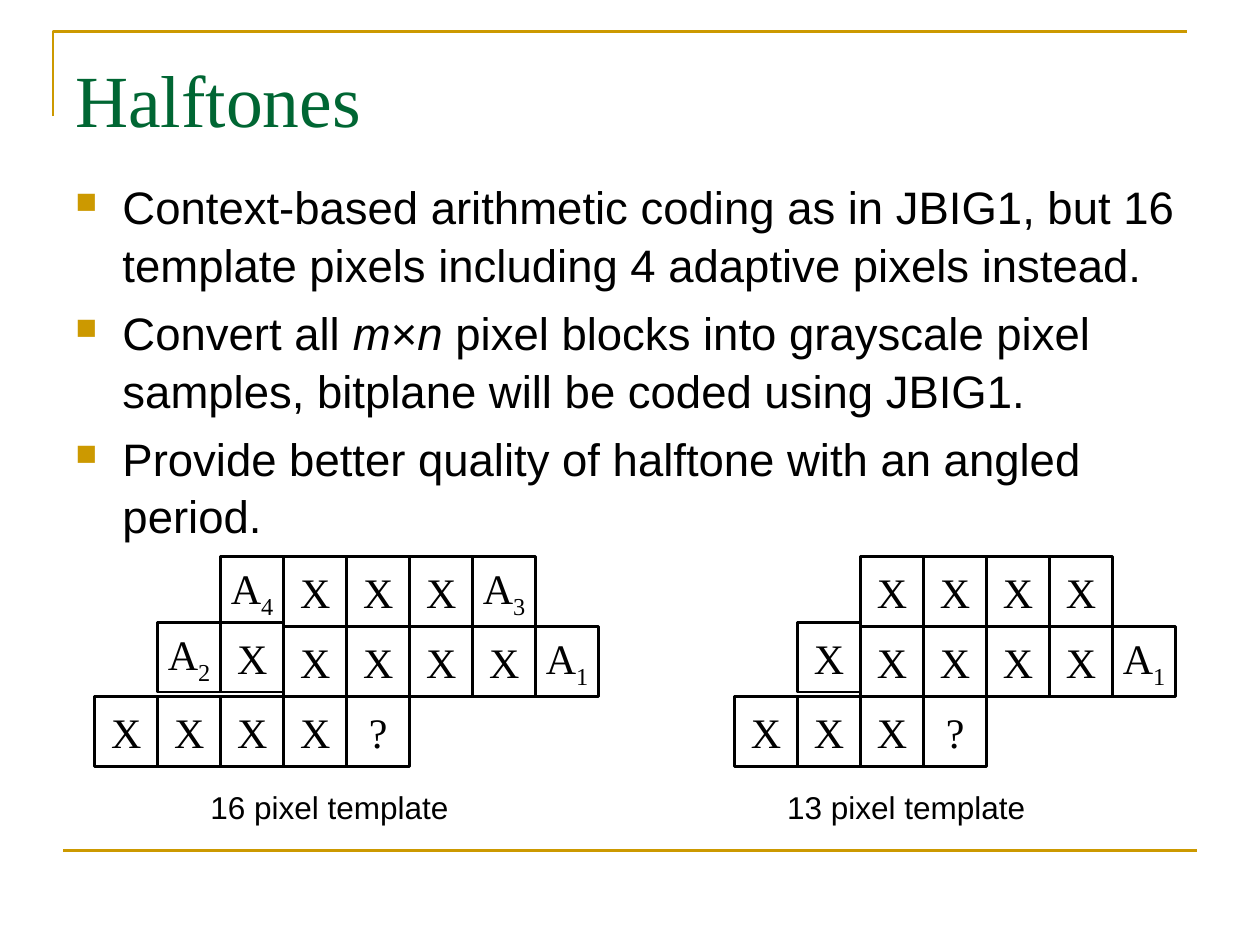
from lxml import etree
from pptx import Presentation
from pptx.dml.color import RGBColor
from pptx.enum.shapes import MSO_CONNECTOR, MSO_SHAPE
from pptx.enum.text import MSO_ANCHOR, PP_ALIGN
from pptx.oxml.ns import qn
from pptx.util import Cm, Pt

STRAIGHT = MSO_CONNECTOR.STRAIGHT
RECTANGLE = MSO_SHAPE.RECTANGLE
MIDDLE = MSO_ANCHOR.MIDDLE
CENTER = PP_ALIGN.CENTER

GOLD, GREEN, BLACK, WHITE = "CC9900", "006633", "000000", "FFFFFF"
SERIF, SANS = "Times New Roman", "Arial"

CELL_WIDTH, CELL_HEIGHT = 1.27, 1.41
TOP_ROW = 11.22
RAISED = 0.94

BULLETS = [
    ["Context-based arithmetic coding as in JBIG1, but 16 template pixels "
     "including 4 adaptive pixels instead."],
    ["Convert all ", "m", "×", "n", " pixel blocks into grayscale pixel "
     "samples, bitplane will be coded using JBIG1."],
    ["Provide better quality of halftone with an angled period."],
]
VARIABLES = ("m", "n")

# Each template row is (row, first column, labels).
TEMPLATES = [
    ("16 pixel template", 1.91, 3.99, [
        (0, 2, ["A4", "X", "X", "X", "A3"]),
        (1, 3, ["X", "X", "X", "X", "A1"]),
        (2, 0, ["X", "X", "X", "X", "?"]),
        (RAISED, 1, ["A2", "X"]),
    ]),
    ("13 pixel template", 14.81, 15.62, [
        (0, 2, ["X", "X", "X", "X"]),
        (1, 2, ["X", "X", "X", "X", "A1"]),
        (2, 0, ["X", "X", "X", "?"]),
        (RAISED, 1, ["X"]),
    ]),
]


def color(hex_string):
    """Return the colour for a hex string."""
    return RGBColor.from_string(hex_string)


def set_font(paragraph, name, size, hex_string):
    """Set the typeface, size and colour of a paragraph."""
    paragraph.font.name = name
    paragraph.font.size = Pt(size)
    paragraph.font.color.rgb = color(hex_string)


def set_line(outlined, hex_string):
    """Give a shape or connector a 1.5 point line."""
    outlined.line.color.rgb = color(hex_string)
    outlined.line.width = Pt(1.5)


def add_text_frame(slide, left, top, width, height, wrap=True):
    """Add a text box and return its text frame."""
    frame = slide.shapes.add_textbox(Cm(left), Cm(top), Cm(width), Cm(height)).text_frame
    frame.word_wrap = wrap
    return frame


def add_frame_lines(slide):
    """Draw the corner line at the top and the rule at the bottom."""
    builder = slide.shapes.build_freeform(Cm(1.07), Cm(2.34))
    builder.add_line_segments([(Cm(1.07), Cm(0.64)), (Cm(23.93), Cm(0.64))], close=False)
    corner = builder.convert_to_shape()
    corner.fill.background()
    corner.shadow.inherit = False
    rule = slide.shapes.add_connector(STRAIGHT, Cm(1.27), Cm(17.15), Cm(24.13), Cm(17.15))
    etree.SubElement(rule._element.spPr, qn("a:effectLst"))
    for frame_line in (corner, rule):
        set_line(frame_line, GOLD)


def add_title(slide, title):
    """Add the slide title."""
    frame = add_text_frame(slide, 1.27, 0.76, 22.86, 3.18)
    frame.margin_top = Cm(0.32)
    heading = frame.paragraphs[0]
    heading.text = title
    set_font(heading, SERIF, 42, GREEN)


def set_bullet(paragraph):
    """Give a paragraph a small gold square and a hanging indent."""
    properties = paragraph._p.get_or_add_pPr()
    properties.set("marL", str(Cm(0.95)))
    properties.set("indent", str(-Cm(0.95)))
    bullet_color = etree.Element(qn("a:buClr"))
    etree.SubElement(bullet_color, qn("a:srgbClr"), val=GOLD)
    marks = [
        bullet_color,
        etree.Element(qn("a:buSzPct"), val="65000"),
        etree.Element(qn("a:buChar"), char="■"),
    ]
    for mark in marks:
        properties.find(qn("a:defRPr")).addprevious(mark)


def add_bullets(slide, bullets):
    """Add the bullet list, with variables in italics."""
    frame = add_text_frame(slide, 1.27, 3.38, 22.86, 13.64)
    frame.margin_top = Cm(0.18)
    for index, parts in enumerate(bullets):
        item = frame.add_paragraph() if index else frame.paragraphs[0]
        item.space_before = Pt(6.5)
        item.line_spacing = 1.05
        set_font(item, SANS, 26, BLACK)
        set_bullet(item)
        for part in parts:
            run = item.add_run()
            run.text = part
            if part in VARIABLES:
                run.font.italic = True


def add_pixel(slide, left, top, label):
    """Add one template pixel, with any digit of its label as a subscript."""
    pixel = slide.shapes.add_shape(
        RECTANGLE, Cm(left), Cm(top), Cm(CELL_WIDTH), Cm(CELL_HEIGHT))
    pixel.shadow.inherit = False
    pixel.fill.solid()
    pixel.fill.fore_color.rgb = color(WHITE)
    set_line(pixel, BLACK)
    pixel.text_frame.word_wrap = False
    pixel.text_frame.vertical_anchor = MIDDLE
    paragraph = pixel.text_frame.paragraphs[0]
    paragraph.alignment = CENTER
    set_font(paragraph, SERIF, 24, BLACK)
    for character in label:
        run = paragraph.add_run()
        run.text = character
        if character.isdigit():
            run.font._element.set("baseline", "-25000")


def add_template(slide, caption, left, caption_left, rows):
    """Add a pixel template and its caption."""
    for row, first_column, labels in rows:
        for column, label in enumerate(labels, first_column):
            add_pixel(slide, left + column * CELL_WIDTH, TOP_ROW + row * CELL_HEIGHT, label)
    frame = add_text_frame(slide, caption_left, 15.77, 5.31, 1.02, wrap=False)
    frame.paragraphs[0].text = caption
    set_font(frame.paragraphs[0], SANS, 18, BLACK)


def main():
    """Build the slide and save it."""
    presentation = Presentation()
    presentation.slide_width, presentation.slide_height = Cm(25.4), Cm(19.05)
    slide = presentation.slides.add_slide(presentation.slide_layouts[6])
    add_frame_lines(slide)
    add_title(slide, "Halftones")
    add_bullets(slide, BULLETS)
    for template in TEMPLATES:
        add_template(slide, *template)
    presentation.save("out.pptx")


if __name__ == "__main__":
    main()
